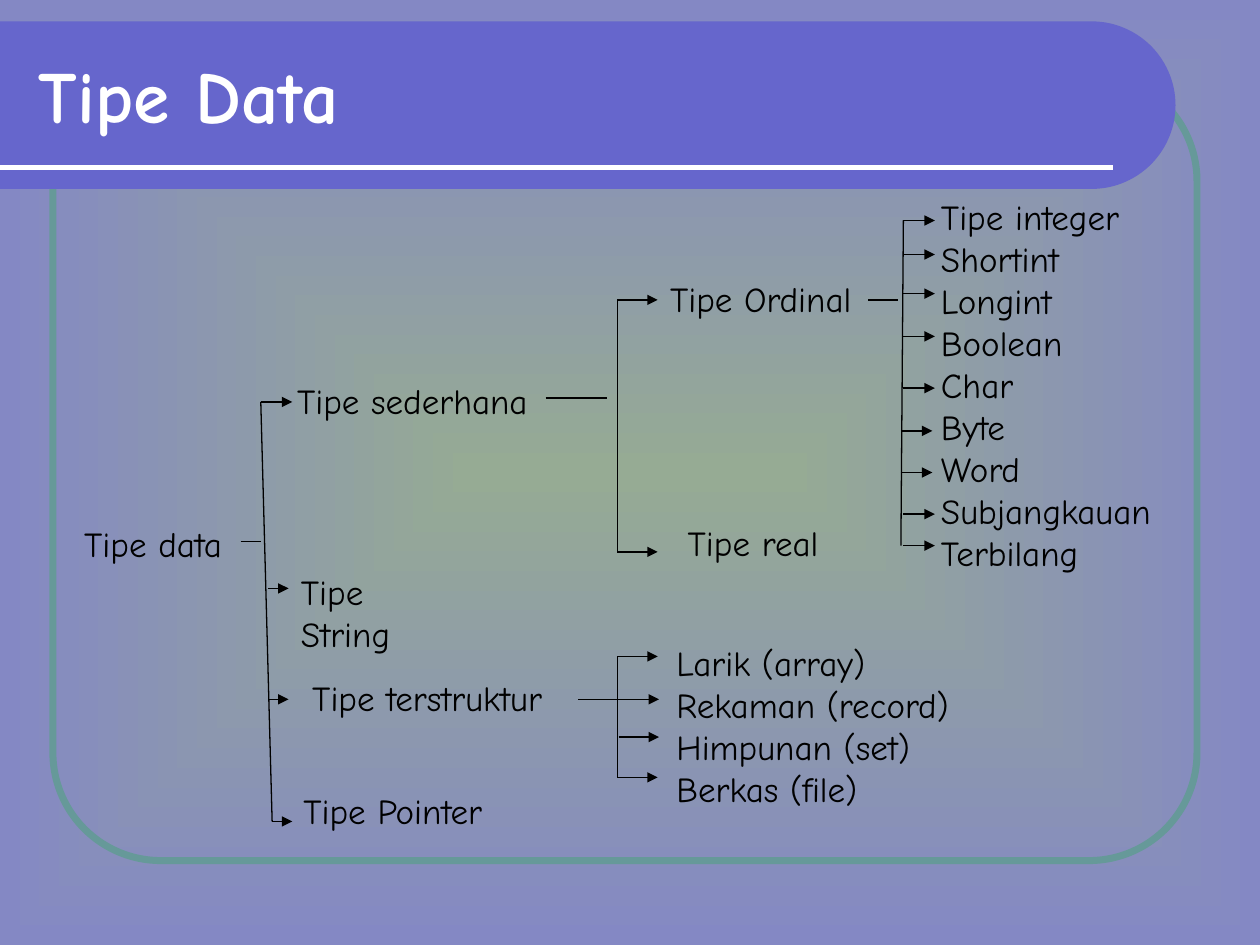
import math

import lxml.etree
import pptx
import pptx.dml.color
import pptx.enum.shapes
import pptx.enum.text
import pptx.oxml.ns
import pptx.util

Inches = pptx.util.Inches
Pt = pptx.util.Pt
qn = pptx.oxml.ns.qn
FONT = "Comic Neue"

LABELS = [
    ((0.57, 4.1, 1.3, 0.44), ["Tipe data"]),
    ((2.26, 2.96, 2.03, 0.44), ["Tipe sederhana"]),
    ((2.29, 4.48, 1.49, 0.44), ["Tipe String"]),
    ((2.38, 5.32, 2.03, 0.44), ["Tipe terstruktur"]),
    ((2.31, 6.22, 1.64, 0.44), ["Tipe Pointer"]),
    ((5.27, 5.04, 2.38, 1.44),
     ["Larik (array)", "Rekaman (record)", "Himpunan (set)", "Berkas (file)"]),
    ((5.22, 2.15, 1.64, 0.44), ["Tipe Ordinal"]),
    ((5.36, 4.09, 1.24, 0.44), ["Tipe real"]),
    ((7.37, 1.5, 1.87, 3.1),
     ["Tipe integer", "Shortint", "Longint", "Boolean", "Char", "Byte",
      "Word", "Subjangkauan", "Terbilang"]),
]


def color(hex_code):
    """Return the colour for a hex string."""
    return pptx.dml.color.RGBColor.from_string(hex_code)


def paint_background(slide):
    """Fill the background with a gradient that spreads from the centre."""
    fill = slide.background.fill
    fill.gradient()
    for stop, position, hex_code in zip(fill.gradient_stops, (0, 1), ("96AB94", "8488C4")):
        stop.position = position
        stop.color.rgb = color(hex_code)
    linear = next(slide.background._cSld.iter(qn("a:lin")))
    spread = lxml.etree.Element(qn("a:path"), {"path": "rect"})
    center = {side: "50000" for side in "ltrb"}
    lxml.etree.SubElement(spread, qn("a:fillToRect"), center)
    linear.getparent().replace(linear, spread)


def add_line(slide, start, end, hex_code="000000", weight=0.75, arrow=False):
    """Draw a straight line, with an arrowhead at its end if asked."""
    line = slide.shapes.add_connector(
        pptx.enum.shapes.MSO_CONNECTOR.STRAIGHT, *map(Inches, (*start, *end)))
    line.line.color.rgb = color(hex_code)
    line.line.width = Pt(weight)
    if arrow:
        lxml.etree.SubElement(line.line._get_or_add_ln(), qn("a:tailEnd"), {"type": "triangle"})
    lxml.etree.SubElement(line._element.spPr, qn("a:effectLst"))


def add_label(slide, box, lines, size=20, hex_code="000000", bold=False):
    """Write one paragraph for each line of text in the box."""
    label = slide.shapes.add_textbox(*map(Inches, box))
    frame = label.text_frame
    frame.word_wrap = False
    frame.text = "\n".join(lines)
    for paragraph in frame.paragraphs:
        for run in paragraph.runs:
            run.font.name = FONT
            run.font.size = Pt(size)
            run.font.bold = bold
            run.font.color.rgb = color(hex_code)
    return label


def add_frame(slide, box):
    """Draw the rounded outline around the content."""
    frame = slide.shapes.add_shape(
        pptx.enum.shapes.MSO_SHAPE.ROUNDED_RECTANGLE, *map(Inches, box))
    frame.adjustments[0] = 0.137
    frame.fill.background()
    frame.line.color.rgb = color("669999")
    frame.line.width = Pt(4)
    frame.shadow.inherit = False


def add_header(slide, box):
    """Draw the banner with its round right end, its rule and the title."""
    left, top, width, height = box
    radius = height / 2
    center_x, center_y = left + width - radius, top + radius
    angles = [math.radians(degrees) for degrees in range(-90, 91, 3)]
    arc = [(Inches(center_x + radius * math.cos(angle)),
            Inches(center_y + radius * math.sin(angle))) for angle in angles]
    builder = slide.shapes.build_freeform(Inches(left), Inches(top), scale=1.0)
    builder.add_line_segments([*arc, (Inches(left), Inches(top + height))], close=True)
    banner = builder.convert_to_shape()
    banner.fill.solid()
    banner.fill.fore_color.rgb = color("6666CC")
    banner.line.fill.background()
    banner.shadow.inherit = False
    rule_y = top + 1.16
    add_line(slide, (left, rule_y), (left + 8.83, rule_y), "FFFFFF", 3)
    title = add_label(slide, (left + 0.21, top + 0.08, 8.77, 1), ["Tipe Data"], 42, "FFFFFF", True)
    title.text_frame.word_wrap = True
    title.text_frame.vertical_anchor = pptx.enum.text.MSO_ANCHOR.MIDDLE


def add_branch(slide, box, arrows, stem=None, lean=0):
    """Draw a trunk, its stem and its arrows, given as (start, end, drop)."""
    left, top, _, height = box
    add_line(slide, (left, top), (left + lean, top + height))
    spans = [(span, True) for span in arrows] + ([(stem, False)] if stem else [])
    for (start, end, drop), arrow in spans:
        add_line(slide, (left + start, top + drop), (left + end, top + drop), arrow=arrow)


def add_type_tree(slide):
    """Place the labels of the data types and the branches between them."""
    for box, lines in LABELS:
        add_label(slide, box, lines)
    add_branch(slide, (2.07, 3.19, 0.25, 3.33),
               [(0, 0.25, 0), (0.06, 0.22, 1.48), (0.06, 0.22, 2.36), (0.09, 0.25, 3.33)],
               stem=(-0.16, 0, 1.11), lean=0.09)
    add_branch(slide, (4.9, 2.38, 0.32, 2),
               [(0, 0.32, drop) for drop in (0, 2)], stem=(-0.57, -0.08, 0.78))
    add_branch(slide, (4.9, 5.21, 0.32, 0.96),
               [(0, 0.32, 0), (-0.31, 0.33, 0.34), (0.01, 0.33, 0.64), (0, 0.32, 0.96)])
    ordinal_drops = (0, 0.27, 0.58, 0.92, 1.33, 1.67, 2, 2.33, 2.58)
    add_branch(slide, (7.17, 1.75, 0.25, 2.58),
               [(-0.02, 0.23, drop) if drop in (1.67, 2) else (0, 0.25, drop)
                for drop in ordinal_drops],
               stem=(-0.28, -0.04, 0.63), lean=-0.02)


def main():
    """Build the slide and save it."""
    presentation = pptx.Presentation()
    presentation.slide_width = Inches(10)
    presentation.slide_height = Inches(7.5)
    slide = presentation.slides.add_slide(presentation.slide_layouts[6])
    paint_background(slide)
    add_frame(slide, (0.42, 0.58, 9.08, 6.25))
    add_header(slide, (0, 0.17, 9.33, 1.33))
    add_type_tree(slide)
    presentation.save("out.pptx")


if __name__ == "__main__":
    main()
